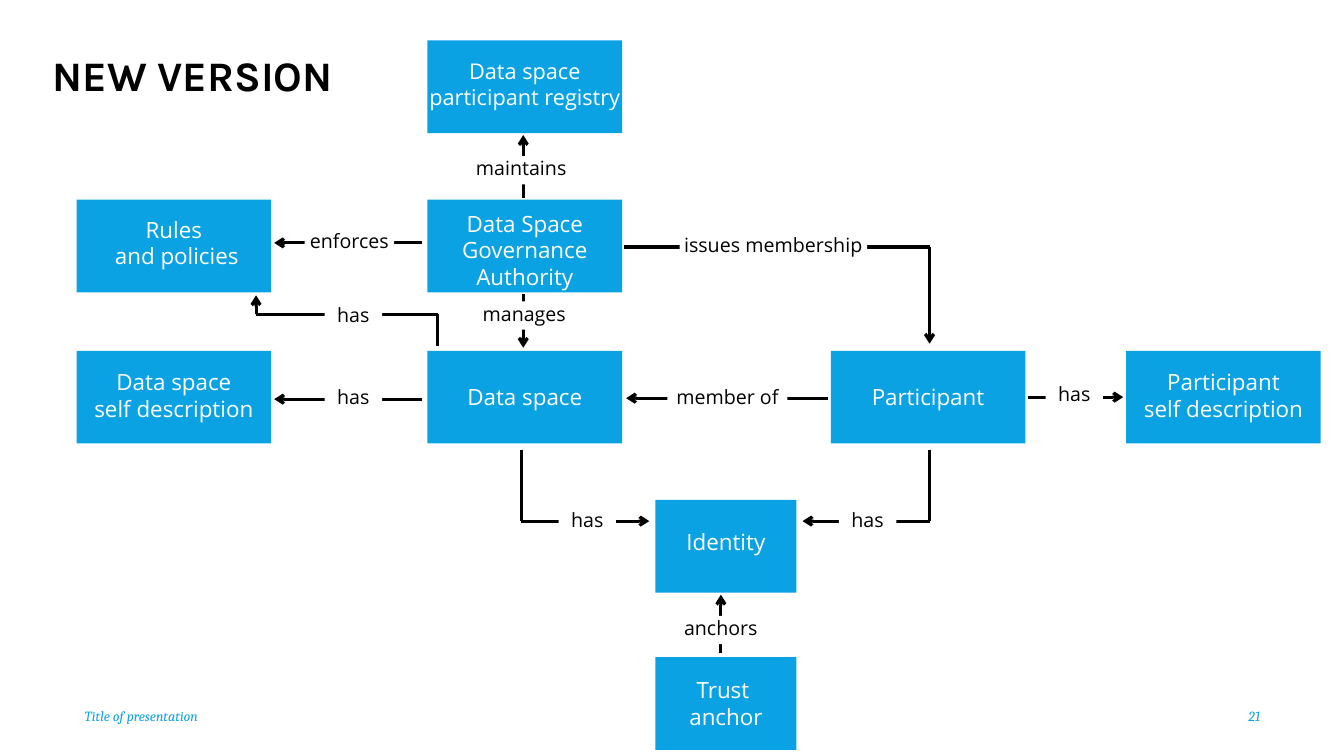
from itertools import pairwise

from lxml import etree
from pptx import Presentation
from pptx import util as u
from pptx.dml.color import RGBColor
from pptx.enum import shapes, text
from pptx.oxml import ns

BLUE = RGBColor(0x0B, 0xA2, 0xE3)
BLACK = RGBColor(0, 0, 0)
WHITE = RGBColor(0xFF, 0xFF, 0xFF)

# Grid: left edges of the columns and top edges of the rows, in inches
COL_DESCRIPTION, COL_SPACE, COL_IDENTITY, COL_PARTICIPANT, COL_SELF = 0.76, 4.24, 6.5, 8.24, 11.17
ROW_REGISTRY, ROW_AUTHORITY, ROW_SPACE, ROW_IDENTITY, ROW_TRUST = 0.4, 1.98, 3.48, 4.96, 6.52
BOX_WIDTH, IDENTITY_WIDTH, BOX_HEIGHT = 1.93, 1.4, 0.92
LABEL_HEIGHT = 0.28
SPACE_X, PARTICIPANT_X, IDENTITY_X = 5.19, 9.22, 7.15  # vertical arrows
MEMBERSHIP_Y, RULES_Y, IDENTITY_Y = 2.45, 3.12, 5.17  # horizontal runs


def write(shape, lines, size, font, color, align, anchor, top=0, side=0):
    frame = shape.text_frame
    frame.word_wrap = True
    frame.vertical_anchor = anchor
    frame.margin_left = frame.margin_right = u.Inches(side)
    frame.margin_top, frame.margin_bottom = u.Inches(top), 0
    frame.text = lines
    for paragraph in frame.paragraphs:
        paragraph.alignment = align
        paragraph.font.size = u.Pt(size)
        paragraph.font.name = font
        paragraph.font.color.rgb = color


def add_box(left, top, width, height, fill):
    shape = slide.shapes.add_shape(
        shapes.MSO_SHAPE.RECTANGLE, *map(u.Inches, (left, top, width, height)))
    shape.shadow.inherit = False
    shape.fill.solid()
    shape.fill.fore_color.rgb = fill
    shape.line.fill.background()
    return shape


presentation = Presentation()
presentation.slide_width, presentation.slide_height = u.Inches(13.33), u.Inches(7.5)
slide = presentation.slides.add_slide(presentation.slide_layouts[5])

# Title
title = slide.shapes.title
title.left, title.top, title.width, title.height = map(u.Inches, (0.52, 0.38, 3.31, 0.68))
write(title, "NEW VERSION", 30, "Karla", BLACK, text.PP_ALIGN.LEFT, text.MSO_ANCHOR.BOTTOM)
title.text_frame.margin_bottom = u.Inches(0.06)
title.text_frame.paragraphs[0].font.bold = True
title.text_frame.paragraphs[0].line_spacing = 0.9

# Footer and page number
for left, width, words, align in (
    (0.84, 7.17, "Title of presentation", text.PP_ALIGN.LEFT),
    (11.79, 0.71, "21", text.PP_ALIGN.RIGHT),
):
    footer = slide.shapes.add_textbox(*map(u.Inches, (left, 6.98, width, 0.24)))
    write(footer, words, 10, "Cambria", BLUE, align, text.MSO_ANCHOR.MIDDLE)
    footer.text_frame.paragraphs[0].font.italic = True

# Arrows: each route ends in an arrowhead
routes = [
    [(SPACE_X, 1.96), (SPACE_X, 1.34)],
    [(SPACE_X, 2.92), (SPACE_X, 3.45)],
    [(4.19, 2.41), (2.72, 2.41)],
    [(4.19, 3.96), (2.72, 3.96)],
    [(4.34, 3.43), (4.34, RULES_Y), (2.54, RULES_Y), (2.54, 2.93)],
    [(8.21, 3.95), (6.21, 3.95)],
    [(10.2, 3.94), (11.14, 3.94)],
    [(6.19, MEMBERSHIP_Y), (PARTICIPANT_X, MEMBERSHIP_Y), (PARTICIPANT_X, 3.41)],
    [(5.17, 4.46), (5.17, IDENTITY_Y), (6.44, IDENTITY_Y)],
    [(PARTICIPANT_X, 4.46), (PARTICIPANT_X, IDENTITY_Y), (7.96, IDENTITY_Y)],
    [(IDENTITY_X, 6.48), (IDENTITY_X, 5.9)],
]
for route in routes:
    for start, end in pairwise(route):
        connector = slide.shapes.add_connector(
            shapes.MSO_CONNECTOR.STRAIGHT, *map(u.Inches, start + end))
        connector.line.color.rgb = BLACK
        connector.line.width = u.Pt(2.25)
        etree.SubElement(connector._element.spPr, ns.qn("a:effectLst"))
    # The last segment of the route carries the head
    head = etree.SubElement(connector.line._get_or_add_ln(), ns.qn("a:tailEnd"))
    head.set("type", "arrow")

# Concept boxes: column, row, width, space above the text, size, text
boxes = [
    (COL_SPACE, ROW_REGISTRY, BOX_WIDTH, 0.17, 15.5, "Data space\nparticipant registry"),
    (COL_DESCRIPTION, ROW_AUTHORITY, BOX_WIDTH, 0.16, 16, "Rules\n and policies"),
    (COL_SPACE, ROW_AUTHORITY, BOX_WIDTH, 0.1, 16, "Data Space\nGovernance Authority"),
    (COL_DESCRIPTION, ROW_SPACE, BOX_WIDTH, 0.17, 16, "Data space\nself description"),
    (COL_SPACE, ROW_SPACE, BOX_WIDTH, 0.32, 16, "Data space"),
    (COL_PARTICIPANT, ROW_SPACE, BOX_WIDTH, 0.32, 16, "Participant"),
    (COL_SELF, ROW_SPACE, BOX_WIDTH, 0.17, 16, "Participant\nself description"),
    (COL_IDENTITY, ROW_IDENTITY, IDENTITY_WIDTH, 0.28, 16, "Identity"),
    (COL_IDENTITY, ROW_TRUST, IDENTITY_WIDTH, 0.19, 16, "Trust \nanchor"),
]
for left, top, width, above, size, words in boxes:
    box = add_box(left, top, width, BOX_HEIGHT, BLUE)
    write(box, words, size, "Open Sans", WHITE,
          text.PP_ALIGN.CENTER, text.MSO_ANCHOR.TOP, top=above)

# Relation labels, which break the arrows: left, top, width, text
labels = [
    (4.65, 1.55, 1.04, "maintains"),
    (4.68, 2.99, 1.04, "manages"),
    (3.02, 2.27, 0.89, "enforces"),
    (6.74, 2.31, 1.86, "issues membership"),
    (3.22, 3.01, 0.57, "has"),
    (3.22, 3.82, 0.57, "has"),
    (6.62, 3.82, 1.19, "member of"),
    (10.37, 3.79, 0.57, "has"),
    (5.54, 5.04, 0.57, "has"),
    (8.32, 5.04, 0.57, "has"),
    (6.67, 6.11, 0.96, "anchors"),
]
for left, top, width, words in labels:
    label = add_box(left, top, width, LABEL_HEIGHT, WHITE)
    write(label, words, 14, "Open Sans", BLACK,
          text.PP_ALIGN.CENTER, text.MSO_ANCHOR.TOP)

presentation.save("out.pptx")
